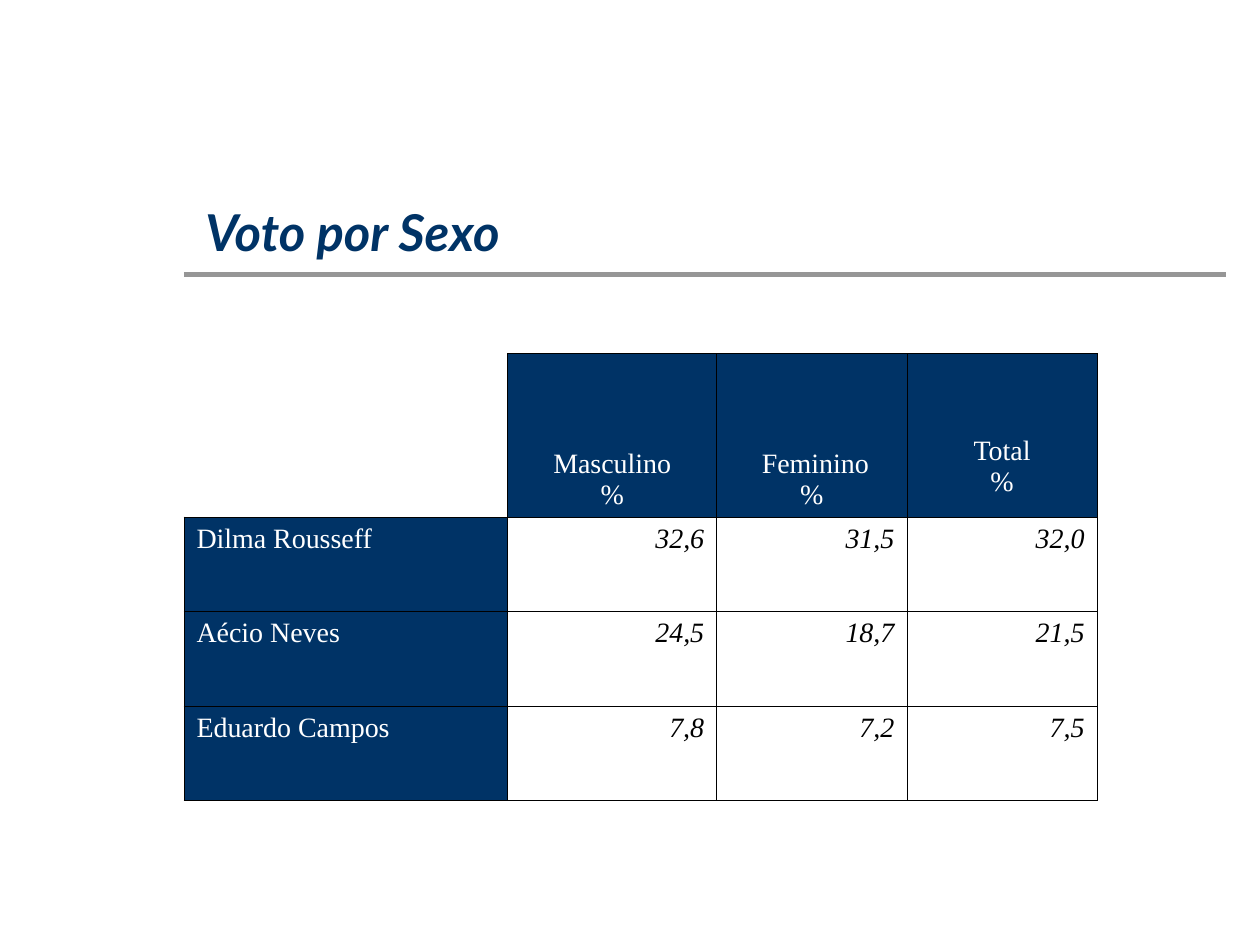
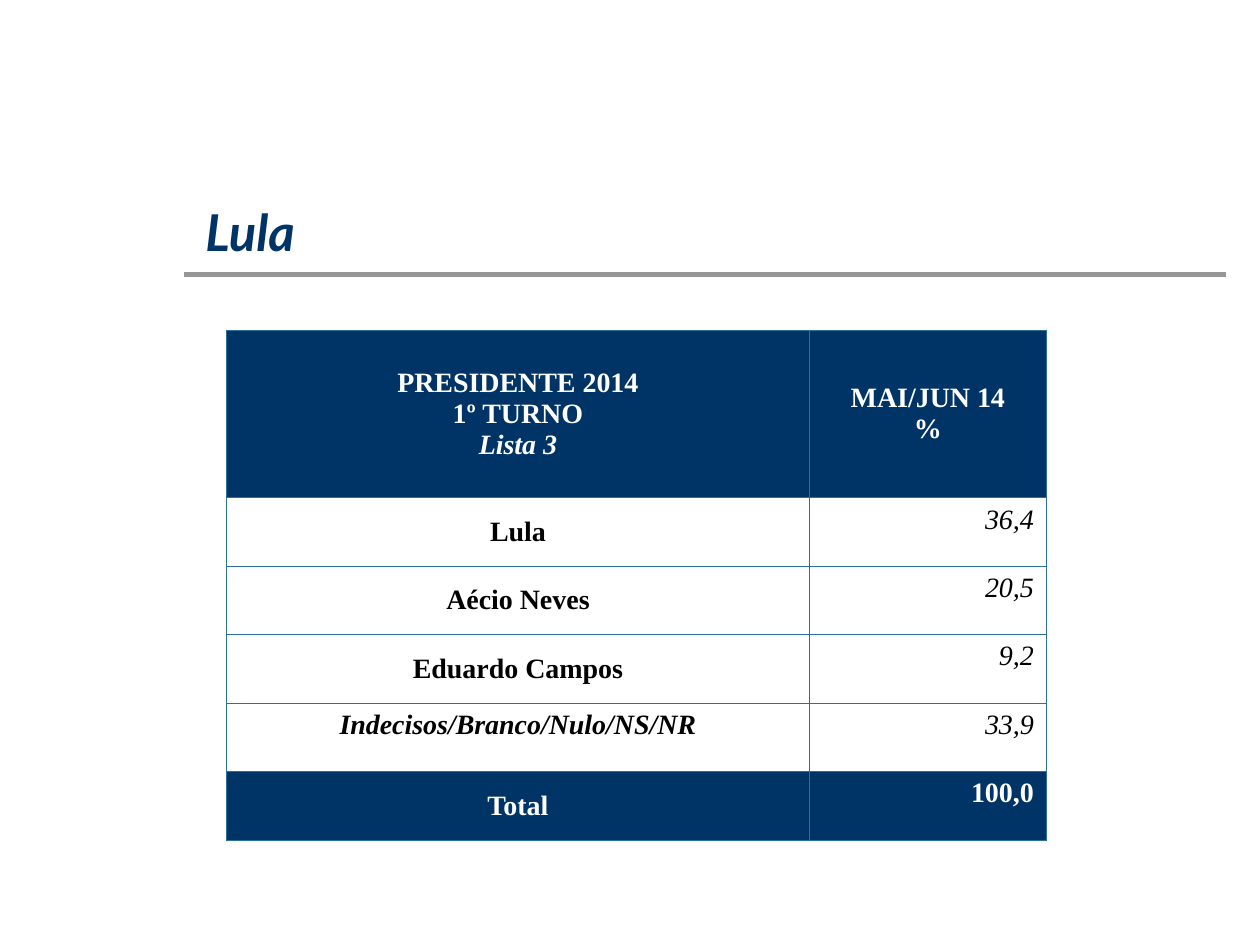
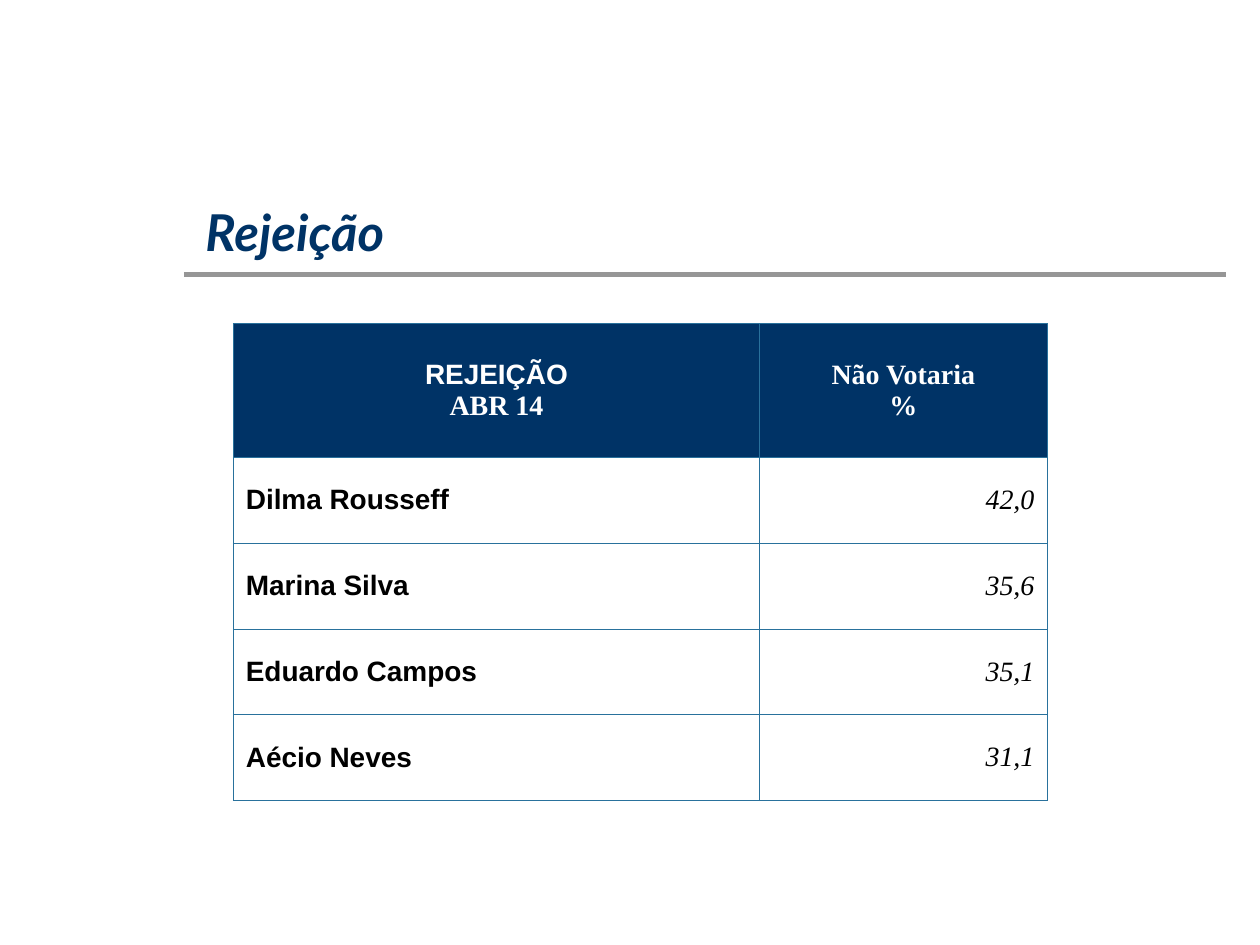
from lxml import etree
from pptx import Presentation
from pptx.dml.color import RGBColor
from pptx.enum.shapes import MSO_CONNECTOR
from pptx.enum.text import MSO_ANCHOR, MSO_AUTO_SIZE, PP_ALIGN
from pptx.oxml.ns import qn
from pptx.util import Pt

LEFT, CENTER, RIGHT = PP_ALIGN.LEFT, PP_ALIGN.CENTER, PP_ALIGN.RIGHT
TOP, MIDDLE, BOTTOM = MSO_ANCHOR.TOP, MSO_ANCHOR.MIDDLE, MSO_ANCHOR.BOTTOM
STRAIGHT = MSO_CONNECTOR.STRAIGHT
GROW = MSO_AUTO_SIZE.SHAPE_TO_FIT_TEXT

NAVY = RGBColor(0x00, 0x33, 0x66)
GRAY = RGBColor(0x96, 0x96, 0x96)
BLUE = RGBColor(0x29, 0x71, 0x9C)
BLACK = RGBColor(0x00, 0x00, 0x00)
WHITE = RGBColor(0xFF, 0xFF, 0xFF)
SERIF, SANS, TITLE_FONT = "Times New Roman", "Arial", "Lato"

# Cell styles: alignment, anchor, fill, text colour, font, bold, italic
STYLES = {
    "blank": (LEFT, TOP, None, BLACK, SERIF, False, False),
    "sex": (CENTER, BOTTOM, NAVY, WHITE, SERIF, False, False),
    "sex total": (CENTER, MIDDLE, NAVY, WHITE, SERIF, False, False),
    "candidate": (LEFT, TOP, NAVY, WHITE, SERIF, False, False),
    "value": (RIGHT, TOP, None, BLACK, SERIF, False, True),
    "head": (CENTER, MIDDLE, NAVY, WHITE, SERIF, True, False),
    "name": (CENTER, MIDDLE, WHITE, BLACK, SERIF, True, False),
    "undecided": (CENTER, TOP, WHITE, BLACK, SERIF, True, True),
    "vote": (RIGHT, TOP, WHITE, BLACK, SERIF, False, True),
    "sum": (RIGHT, TOP, NAVY, WHITE, SERIF, True, False),
    "rejected": (LEFT, MIDDLE, WHITE, BLACK, SANS, True, False),
    "rate": (RIGHT, MIDDLE, None, BLACK, SERIF, False, True),
}

# Title, left, top, column widths, header height, row height, border, rows of cells
SLIDES = [
    ("Voto por Sexo", 105.1, 202, (185, 119.5, 108.7, 108.7), 93.5, 54, BLACK, [
        [("blank", ""), ("sex", "Masculino\n%"), ("sex", " Feminino\n%"),
         ("sex total", "Total\n%")],
        [("candidate", "Dilma Rousseff"), ("value", "32,6"), ("value", "31,5"),
         ("value", "32,0")],
        [("candidate", "Aécio Neves"), ("value", "24,5"), ("value", "18,7"),
         ("value", "21,5")],
        [("candidate", "Eduardo Campos"), ("value", "7,8"), ("value", "7,2"),
         ("value", "7,5")],
    ]),
    ("Lula", 129.5, 188.5, (333, 135.5), 96, 39.1, BLUE, [
        [("head", "PRESIDENTE 2014\n1º TURNO\nLista 3"), ("head", "MAI/JUN 14\n%")],
        [("name", "Lula"), ("vote", "36,4")],
        [("name", "Aécio Neves"), ("vote", "20,5")],
        [("name", "Eduardo Campos"), ("vote", "9,2")],
        [("undecided", "Indecisos/Branco/Nulo/NS/NR"), ("vote", "33,9")],
        [("head", "Total"), ("sum", "100,0")],
    ]),
    ("Rejeição", 133.3, 184.8, (300.8, 164.2), 76.6, 49, BLUE, [
        [("head", "REJEIÇÃO\nABR 14"), ("head", "Não Votaria\n%")],
        [("rejected", "Dilma Rousseff"), ("rate", "42,0")],
        [("rejected", "Marina Silva"), ("rate", "35,6")],
        [("rejected", "Eduardo Campos"), ("rate", "35,1")],
        [("rejected", "Aécio Neves"), ("rate", "31,1")],
    ]),
]


def add_run(p, text, size, font, color, bold, italic):
    r = p.add_run()
    r.text = text
    r.font.size = Pt(size)
    r.font.name = font
    r.font.color.rgb = color
    r.font.bold = bold
    r.font.italic = italic


def set_borders(cell, color, sides):
    tc_pr = cell._tc.get_or_add_tcPr()
    for side in ("L", "R", "T", "B"):
        ln = etree.SubElement(tc_pr, qn("a:ln" + side), w=str(Pt(0.45)))
        if side in sides:
            fill = etree.SubElement(ln, qn("a:solidFill"))
            etree.SubElement(fill, qn("a:srgbClr"), val=str(color))
        else:
            etree.SubElement(ln, qn("a:noFill"))


prs = Presentation()
prs.slide_width, prs.slide_height = Pt(720), Pt(540)
layout = prs.slide_layouts[5]
tables = []

for title, left, top, widths, head_height, row_height, border, rows in SLIDES:
    slide = prs.slides.add_slide(layout)

    # Title
    sp = slide.shapes.title
    sp.left, sp.top, sp.width, sp.height = Pt(110.2), Pt(110.9), Pt(575.3), Pt(42.5)
    tf = sp.text_frame
    tf.word_wrap = True
    tf.auto_size = GROW
    tf.vertical_anchor = TOP
    p = tf.paragraphs[0]
    p.alignment = LEFT
    add_run(p, title, 29, TITLE_FONT, NAVY, True, True)

    # Table grid
    heights = [head_height] + [row_height] * (len(rows) - 1)
    frame = slide.shapes.add_table(len(rows), len(widths), Pt(left), Pt(top),
                                   Pt(sum(widths)), Pt(sum(heights)))
    table = frame.table
    table.first_row = table.horz_banding = False
    for column, width in zip(table.columns, widths):
        column.width = Pt(width)
    for row, height in zip(table.rows, heights):
        row.height = Pt(height)

    # Table cells
    for i, row in enumerate(rows):
        for j, (style, text) in enumerate(row):
            align, anchor, fill, color, font, bold, italic = STYLES[style]
            cell = table.cell(i, j)
            set_borders(cell, border, "RB" if style == "blank" else "LRTB")
            if fill is None:
                cell.fill.background()
            else:
                cell.fill.solid()
                cell.fill.fore_color.rgb = fill
            cell.vertical_anchor = anchor
            if not text:
                continue
            tf = cell.text_frame
            for k, line in enumerate(text.split("\n")):
                p = tf.add_paragraph() if k else tf.paragraphs[0]
                p.alignment = align
                add_run(p, line, 16, font, color, bold, italic)
    tables.append(table)

# Header details
by_sex, lula, rejection = tables
by_sex.cell(0, 3).margin_top = Pt(39)
lula.cell(0, 0).text_frame.paragraphs[2].runs[0].font.italic = True
rejection.cell(0, 0).text_frame.paragraphs[0].runs[0].font.name = SANS

# Title rule, moved to the layout so that all slides share it
rule = prs.slides[0].shapes.add_connector(STRAIGHT, Pt(105.1), Pt(157), Pt(700.6), Pt(157))
rule.line.color.rgb = GRAY
rule.line.width = Pt(3)
etree.SubElement(rule._element.spPr, qn("a:effectLst"))
layout.shapes._spTree.append(rule._element)

prs.save("out.pptx")
